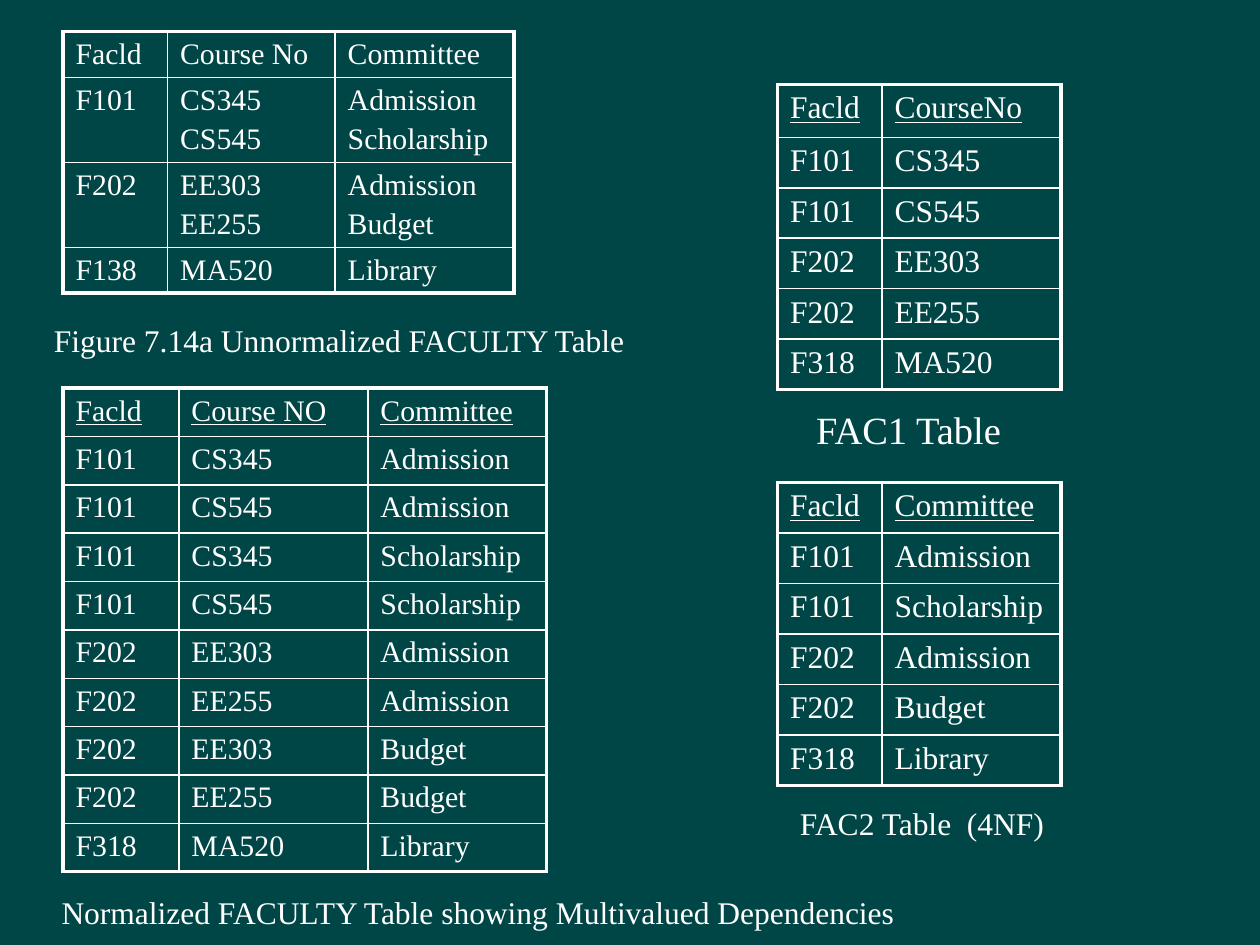
import pptx
import pptx.dml.color
import pptx.enum.text
import pptx.oxml
import pptx.oxml.ns
import pptx.util
from pptx.util import Inches

COLORS = {"background": "004646", "ink": "FFFFFF"}
FONT = "Times New Roman"
OUTER_LINE, INNER_LINE = 2.25, 1

UNNORMALIZED = [
    ("Facld", "Course No", "Committee"),
    ("F101", "CS345\nCS545", "Admission\nScholarship"),
    ("F202", "EE303\nEE255", "Admission\nBudget"),
    ("F138", "MA520", "Library"),
]
NORMALIZED = [
    ("Facld", "Course NO", "Committee"),
    ("F101", "CS345", "Admission"),
    ("F101", "CS545", "Admission"),
    ("F101", "CS345", "Scholarship"),
    ("F101", "CS545", "Scholarship"),
    ("F202", "EE303", "Admission"),
    ("F202", "EE255", "Admission"),
    ("F202", "EE303", "Budget"),
    ("F202", "EE255", "Budget"),
    ("F318", "MA520", "Library"),
]
FAC1 = [
    ("Facld", "CourseNo"),
    ("F101", "CS345"),
    ("F101", "CS545"),
    ("F202", "EE303"),
    ("F202", "EE255"),
    ("F318", "MA520"),
]
FAC2 = [
    ("Facld", "Committee"),
    ("F101", "Admission"),
    ("F101", "Scholarship"),
    ("F202", "Admission"),
    ("F202", "Budget"),
    ("F318", "Library"),
]


def rgb(name):
    return pptx.dml.color.RGBColor.from_string(COLORS[name])


def write_text(frame, text, size=18, underline=False, align="LEFT", space_before=0):
    """Fill a text frame, one paragraph a line, with space before all but the first."""
    for number, line in enumerate(text.split("\n")):
        paragraph = frame.add_paragraph() if number else frame.paragraphs[0]
        paragraph.alignment = getattr(pptx.enum.text.PP_ALIGN, align)
        if number:
            paragraph.space_before = pptx.util.Pt(space_before)
        run = paragraph.add_run()
        run.text = line
        run.font.name = FONT
        run.font.size = pptx.util.Pt(size)
        run.font.underline = underline
        run.font.color.rgb = rgb("ink")


def set_borders(cell, **widths):
    """Draw cell borders; widths in points are keyed L, R, T, B in schema order."""
    properties = cell._tc.get_or_add_tcPr()
    for position, (side, width) in enumerate(widths.items()):
        line = pptx.oxml.parse_xml(
            f'<a:ln{side} {pptx.oxml.ns.nsdecls("a")} w="{pptx.util.Pt(width)}">'
            f'<a:solidFill><a:srgbClr val="{COLORS["ink"]}"/></a:solidFill>'
            f'</a:ln{side}>'
        )
        properties.insert(position, line)


def add_relation(slide, left, top, columns, heights, records, size=18, keys=True):
    """Place a relation as a table; keys underlines its header row."""
    table = slide.shapes.add_table(
        len(records), len(columns), Inches(left), Inches(top),
        Inches(sum(columns)), Inches(sum(heights)),
    ).table
    table.first_row = table.horz_banding = False
    for column, width in zip(table.columns, columns):
        column.width = Inches(width)
    for row, height in zip(table.rows, heights):
        row.height = Inches(height)

    def line_width(at_edge):
        return OUTER_LINE if at_edge else INNER_LINE

    last_row, last_column = len(records) - 1, len(columns) - 1
    for r, record in enumerate(records):
        for c, value in enumerate(record):
            cell = table.cell(r, c)
            cell.fill.background()
            write_text(cell.text_frame, value, size=size,
                       underline=keys and r == 0, space_before=3.4)
            set_borders(cell, L=line_width(c == 0), R=line_width(c == last_column),
                        T=line_width(r == 0), B=line_width(r == last_row))


def add_caption(slide, left, top, width, height, text, **text_format):
    frame = slide.shapes.add_textbox(
        Inches(left), Inches(top), Inches(width), Inches(height)).text_frame
    frame.word_wrap = True
    write_text(frame, text, **text_format)


def add_faculty_side(slide, left, top):
    """Left half: the FACULTY table before and after normalization."""
    add_relation(slide, left, top, [0.83, 1.33, 1.42], [0.36, 0.67, 0.67, 0.36],
                 UNNORMALIZED, size=17, keys=False)
    add_caption(slide, left - 0.17, top + 2.25, 5.33, 0.4,
                "Figure 7.14a Unnormalized FACULTY Table")
    add_relation(slide, left, top + 2.83, [0.92, 1.5, 1.42],
                 [0.36] * len(NORMALIZED), NORMALIZED, size=17)
    add_caption(slide, left - 0.11, top + 6.79, 8.67, 0.4,
                "Normalized FACULTY Table showing Multivalued Dependencies")


def add_decomposed_side(slide, left, top):
    """Right half: the two 4NF tables."""
    columns = [0.83, 1.42]
    add_relation(slide, left, top, columns, [0.42, 0.38, 0.38, 0.38, 0.39, 0.4], FAC1)
    add_caption(slide, left - 0.42, top + 2.5, 2.92, 0.47, "FAC1 Table",
                size=22, align="CENTER")
    add_relation(slide, left, top + 3.16, columns, [0.4] * len(FAC2), FAC2)
    add_caption(slide, left + 0.08, top + 5.66, 2.67, 0.4, "FAC2 Table  (4NF)")


def main():
    deck = pptx.Presentation()
    deck.slide_width, deck.slide_height = Inches(10), Inches(7.5)
    slide = deck.slides.add_slide(deck.slide_layouts[6])
    slide.background.fill.solid()
    slide.background.fill.fore_color.rgb = rgb("background")
    add_faculty_side(slide, 0.5, 0.25)
    add_decomposed_side(slide, 6.17, 0.67)
    deck.save("out.pptx")


if __name__ == "__main__":
    main()
